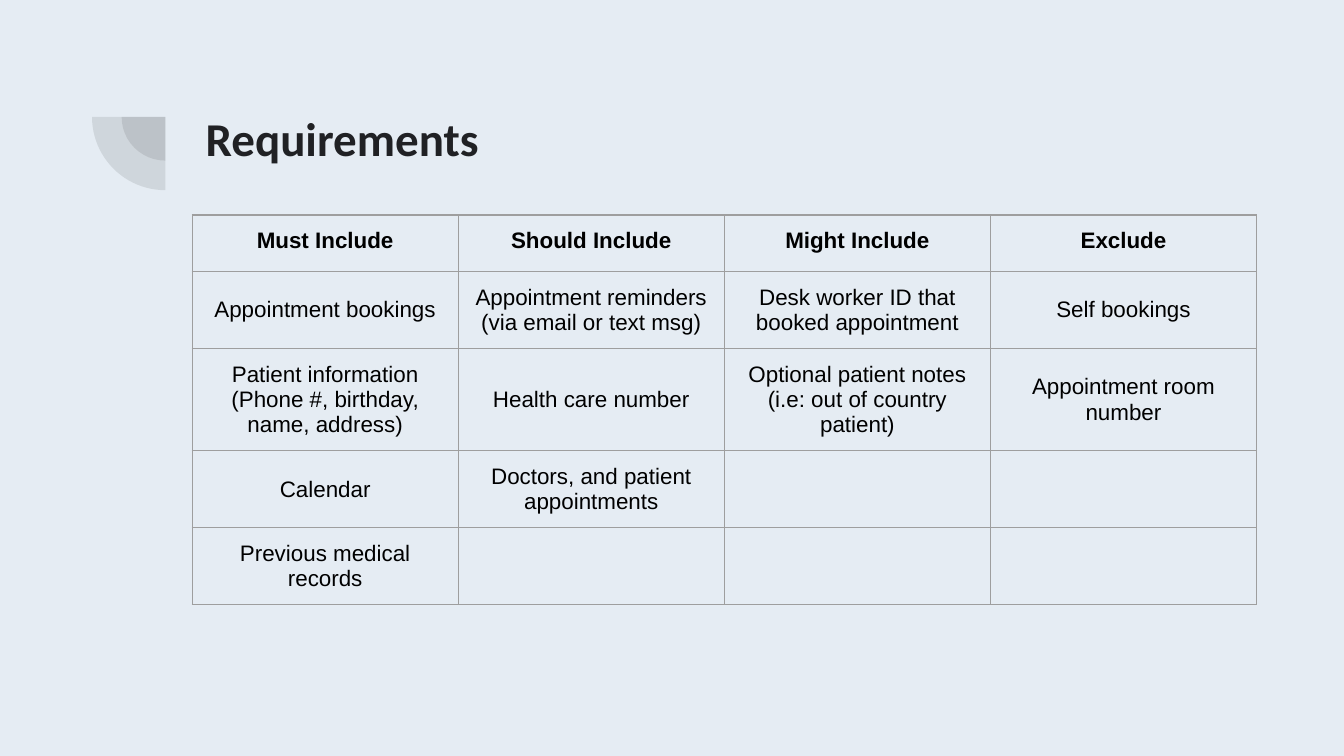
import pptx
import pptx.util
import pptx.dml.color
import pptx.enum.shapes
import pptx.enum.text
import pptx.oxml.ns
import lxml.etree

COLORS = {"background": "E5ECF3", "title": "202124", "text": "000000",
          "border": "9E9E9E", "pie": "424242"}
LEFT, COL_W, ROW_H = 1.43, 1.98, 0.42
INSET = pptx.util.Inches(0.1)

# Each cell is a list of paragraphs
ROWS = [
    [["Must Include"], ["Should Include"], ["Might Include"], ["Exclude"]],
    [["Appointment bookings"],
     ["Appointment reminders", "(via email or text msg)"],
     ["Desk worker ID that booked appointment"],
     ["Self bookings"]],
    [["Patient information", "(Phone #, birthday, name, address)"],
     ["Health care number"],
     ["Optional patient notes", "(i.e: out of country patient)"],
     ["Appointment room number"]],
    [["Calendar"], ["Doctors, and patient appointments"], [], []],
    [["Previous medical records"], [], [], []],
]


def add_run(p, text, font, size, color, bold):
    r = p.add_run()
    r.text = text
    r.font.name = font
    r.font.size = pptx.util.Pt(size)
    r.font.bold = bold
    r.font.color.rgb = pptx.dml.color.RGBColor.from_string(COLORS[color])


def add_xml(parent, tag, **attrs):
    return lxml.etree.SubElement(parent, pptx.oxml.ns.qn(tag), attrs)


prs = pptx.Presentation()
prs.slide_width = pptx.util.Inches(10)
prs.slide_height = pptx.util.Inches(5.625)
s = prs.slides.add_slide(prs.slide_layouts[5])
s.background.fill.solid()
s.background.fill.fore_color.rgb = pptx.dml.color.RGBColor.from_string(COLORS["background"])

# Two translucent quarter pies around one centre
cx, cy = 1.23, 0.87
for size in (0.65, 1.09):
    sp = s.shapes.add_shape(
        pptx.enum.shapes.MSO_SHAPE.PIE,
        pptx.util.Inches(cx - size / 2), pptx.util.Inches(cy - size / 2),
        pptx.util.Inches(size), pptx.util.Inches(size))
    sp.adjustments[0], sp.adjustments[1] = 108, 162
    sp.rotation = 270
    sp.shadow.inherit = False
    sp.line.fill.background()
    sp.fill.solid()
    sp.fill.fore_color.rgb = pptx.dml.color.RGBColor.from_string(COLORS["pie"])
    clr = sp.fill._xPr.find(".//" + pptx.oxml.ns.qn("a:srgbClr"))
    add_xml(clr, "a:alpha", val="13000")

# Title
title = s.shapes.title
title.left, title.top = pptx.util.Inches(LEFT), pptx.util.Inches(0.65)
title.width, title.height = pptx.util.Inches(7.69), pptx.util.Inches(1.09)
tf = title.text_frame
tf.word_wrap = True
tf.auto_size = pptx.enum.text.MSO_AUTO_SIZE.NONE
tf.vertical_anchor = pptx.enum.text.MSO_ANCHOR.TOP
tf.margin_left = tf.margin_right = tf.margin_top = tf.margin_bottom = INSET
p = tf.paragraphs[0]
p.alignment = pptx.enum.text.PP_ALIGN.LEFT
p.line_spacing = 1.15
add_run(p, "Requirements", "Calibri", 25.2, "title", True)

# Requirements table
n_rows, n_cols = len(ROWS), len(ROWS[0])
table = s.shapes.add_table(
    n_rows, n_cols, pptx.util.Inches(LEFT), pptx.util.Inches(1.6),
    pptx.util.Inches(COL_W * n_cols), pptx.util.Inches(ROW_H * n_rows)).table
table.first_row = table.horz_banding = False
for i, row in enumerate(ROWS):
    table.rows[i].height = pptx.util.Inches(ROW_H)
    for j, lines in enumerate(row):
        cell = table.cell(i, j)
        cell.margin_left = cell.margin_right = INSET
        cell.margin_top = cell.margin_bottom = INSET
        if i > 0:
            cell.vertical_anchor = pptx.enum.text.MSO_ANCHOR.MIDDLE
        for side in ("L", "R", "T", "B"):
            ln = add_xml(cell._tc.get_or_add_tcPr(), "a:ln" + side,
                         w=str(pptx.util.Pt(0.75)))
            add_xml(add_xml(ln, "a:solidFill"), "a:srgbClr", val=COLORS["border"])
        cell.fill.background()
        tf = cell.text_frame
        for k, text in enumerate(lines):
            p = tf.add_paragraph() if k else tf.paragraphs[0]
            p.alignment = pptx.enum.text.PP_ALIGN.CENTER
            add_run(p, text, "Arial", 12, "text", i == 0)

prs.save("out.pptx")
